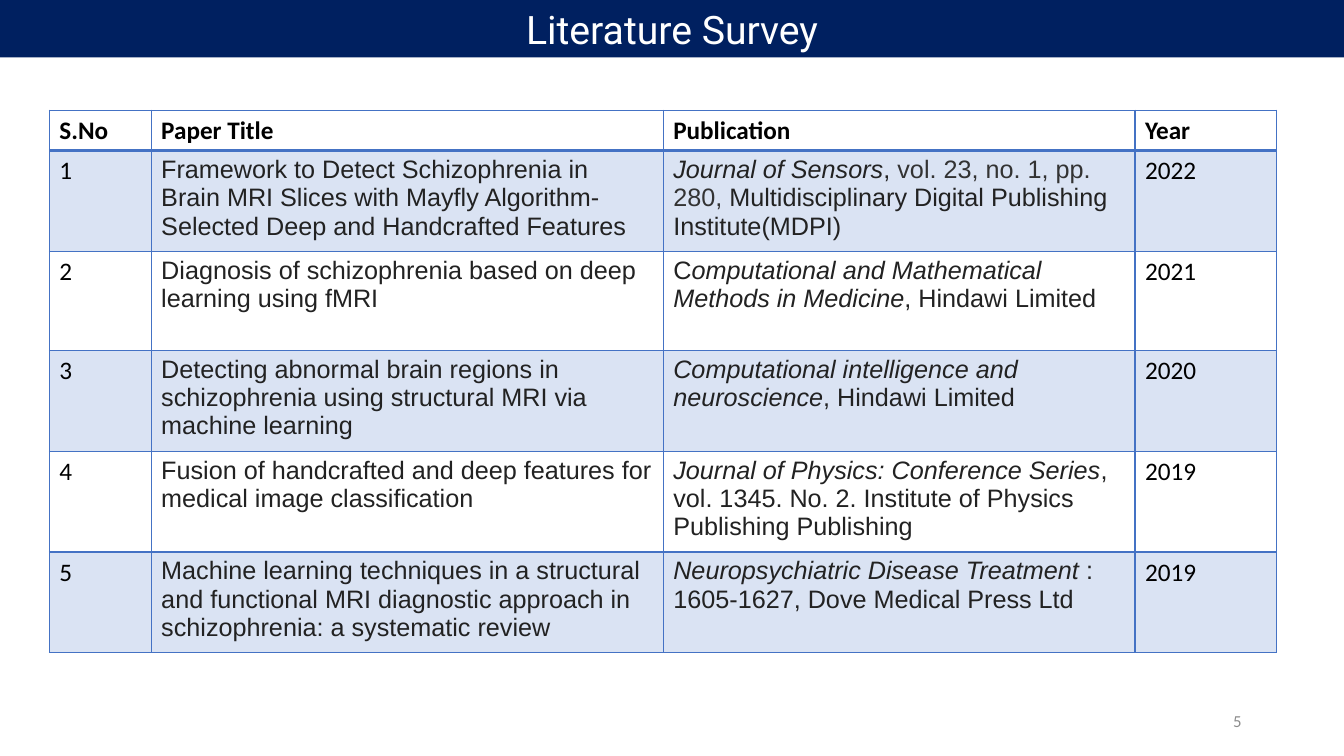
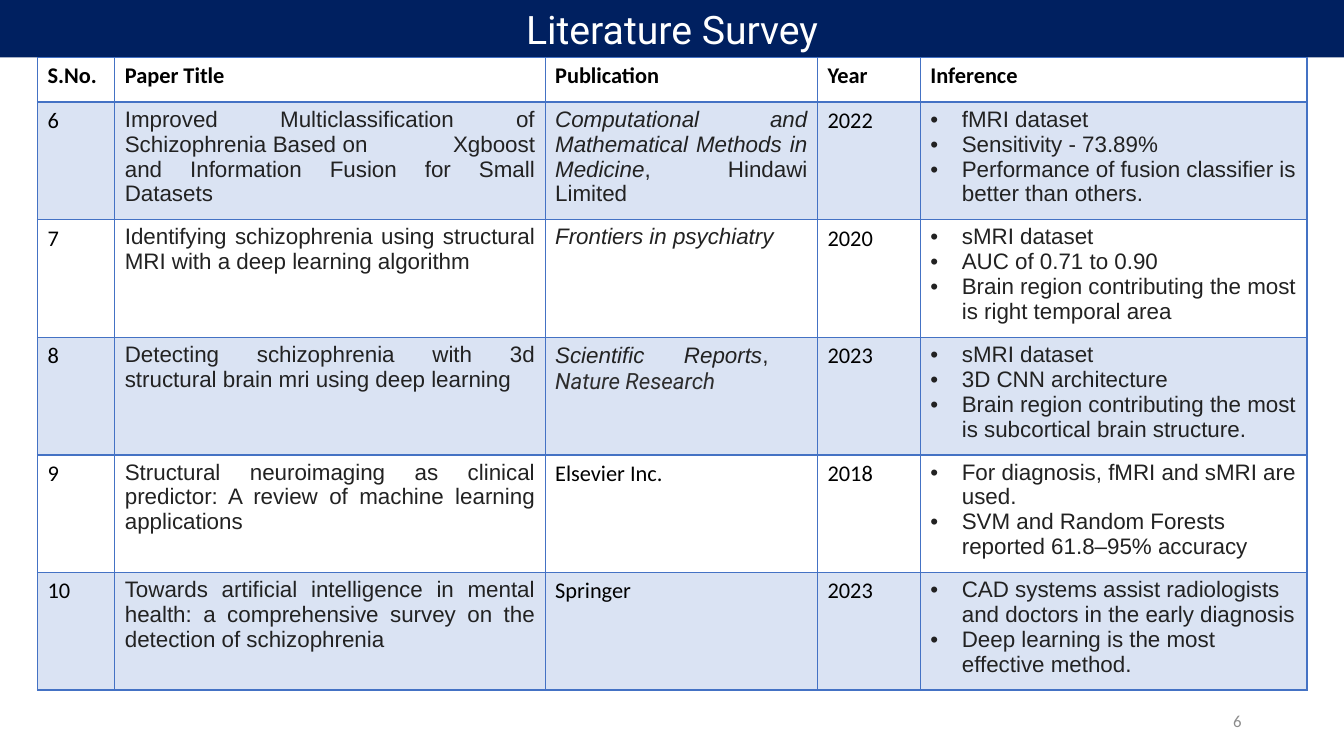
from lxml import etree
from pptx import Presentation
from pptx.dml.color import RGBColor
from pptx.enum import shapes, text
from pptx.oxml import ns
from pptx.util import Pt

NAVY = RGBColor(0x00, 0x20, 0x60)
BLUE = RGBColor(0x44, 0x72, 0xC4)
PALE_BLUE = RGBColor(0xDA, 0xE3, 0xF3)
WHITE = RGBColor(0xFF, 0xFF, 0xFF)
BLACK = RGBColor(0x00, 0x00, 0x00)
INK = RGBColor(0x22, 0x22, 0x22)
DARK_GRAY = RGBColor(0x33, 0x33, 0x33)
CHARCOAL = RGBColor(0x2E, 0x2E, 0x2E)
GRAY = RGBColor(0x8C, 0x8C, 0x8C)

# Run styles: font, colour, bold, italic
TITLE = ("Roboto", WHITE, False, False)
PAGE = ("Calibri", GRAY, False, False)
HEAD = ("Calibri", BLACK, True, False)
LABEL = ("Calibri", BLACK, False, False)
BODY = ("Arial", INK, False, False)
DETAIL = ("Arial", DARK_GRAY, False, False)
JOURNAL = ("Arial", INK, False, True)
IMPRINT = ("Roboto", CHARCOAL, False, True)

SLIDE_WIDTH = 960
BULLET_INDENT = 22.5
TAB_STOP = 234
NARROW_MARGIN = 35

# Rows: number, paper title, publication runs, year, then inference points
SURVEYS = [
    {
        "page": "5", "left": 35.3, "top": 78.8, "size": 18,
        "align": text.PP_ALIGN.LEFT,
        "columns": [72.7, 365.8, 337, 100.8],
        "head_height": 26, "row_height": 70.6,
        "head": ["S.No", "Paper Title", "Publication", "Year"],
        "rows": [
            ("1", "Framework to Detect Schizophrenia in Brain MRI Slices with Mayfly "
             "Algorithm-Selected Deep and Handcrafted Features",
             [("Journal of Sensors", JOURNAL), (",", BODY),
              (" vol. 23, no. 1, pp. 280,", DETAIL),
              (" Multidisciplinary Digital Publishing Institute(MDPI)", BODY)], "2022"),
            ("2", "Diagnosis of schizophrenia based on deep learning using fMRI",
             [("C", BODY), ("omputational and Mathematical Methods in Medicine", JOURNAL),
              (", Hindawi Limited", BODY)], "2021"),
            ("3", "Detecting abnormal brain regions in schizophrenia using structural MRI "
             "via machine learning",
             [("Computational intelligence and neuroscience", JOURNAL),
              (", Hindawi Limited", BODY)], "2020"),
            ("4", "Fusion of handcrafted and deep features for medical image classification",
             [("Journal of Physics: Conference Series", JOURNAL),
              (", vol. 1345. No. 2. Institute of Physics Publishing Publishing", BODY)],
             "2019"),
            ("5", "Machine learning techniques in a structural and functional MRI diagnostic "
             "approach in schizophrenia: a systematic review",
             [("Neuropsychiatric Disease Treatment ", JOURNAL),
              (": 1605-1627, Dove Medical Press Ltd", BODY)], "2019"),
        ],
    },
    {
        "page": "6", "left": 26.8, "top": 41, "size": 16,
        "align": text.PP_ALIGN.JUSTIFY,
        "columns": [55.2, 307.4, 194.6, 73.4, 276.2],
        "head_height": 32, "row_height": 83.8,
        "head": ["S.No.", "Paper Title", "Publication", "Year", "Inference"],
        "rows": [
            ("6", "Improved Multiclassification of Schizophrenia Based on\tXgboost and "
             "Information Fusion for Small Datasets",
             [("Computational and Mathematical Methods in Medicine", JOURNAL),
              (", Hindawi Limited", BODY)], "2022",
             ["fMRI dataset", "Sensitivity - 73.89%",
              "Performance of fusion classifier is better than others."]),
            ("7", "Identifying schizophrenia using structural MRI with a deep learning "
             "algorithm",
             [("Frontiers in psychiatry", JOURNAL)], "2020",
             ["sMRI dataset", "AUC of 0.71 to 0.90",
              "Brain region contributing the most is right temporal area"]),
            ("8", "Detecting schizophrenia with 3d structural brain mri using deep learning",
             [("Scientific Reports", JOURNAL), (",", BODY), (" Nature Research", IMPRINT)],
             "2023",
             ["sMRI dataset", "3D CNN architecture",
              "Brain region contributing the most is subcortical brain structure."]),
            ("9", "Structural neuroimaging as clinical predictor: A review of machine "
             "learning applications",
             [("Elsevier Inc.", LABEL)], "2018",
             ["For diagnosis, fMRI and sMRI are used.",
              "SVM and Random Forests reported 61.8–95% accuracy"]),
            ("10", "Towards artificial intelligence in mental health: a comprehensive survey "
             "on the detection of schizophrenia",
             [("Springer", LABEL)], "2023",
             ["CAD systems assist radiologists and doctors in the early diagnosis",
              "Deep learning is the most effective method."]),
        ],
    },
]


def add_runs(paragraph, runs, size, align):
    paragraph.alignment = align
    for words, (font_name, color, bold, italic) in runs:
        run = paragraph.add_run()
        run.text = words
        run.font.name = font_name
        run.font.size = Pt(size)
        run.font.color.rgb = color
        run.font.bold = bold
        run.font.italic = italic


def set_borders(cell, widths):
    properties = cell._tc.get_or_add_tcPr()
    for position, (side, width) in enumerate(widths.items()):
        line = etree.Element(ns.qn("a:ln" + side), w=str(Pt(width)))
        fill = etree.SubElement(line, ns.qn("a:solidFill"))
        etree.SubElement(fill, ns.qn("a:srgbClr"), val=str(BLUE))
        properties.insert(position, line)


presentation = Presentation()
presentation.slide_width = Pt(SLIDE_WIDTH)
presentation.slide_height = Pt(540)

for survey in SURVEYS:
    slide = presentation.slides.add_slide(presentation.slide_layouts[6])
    size = survey["size"]

    # Page number
    page_box = slide.shapes.add_textbox(Pt(678), Pt(500.4), Pt(216), Pt(28.8))
    page_box.text_frame.word_wrap = True
    page_box.text_frame.vertical_anchor = text.MSO_ANCHOR.MIDDLE
    add_runs(page_box.text_frame.paragraphs[0], [(survey["page"], PAGE)], 12,
             text.PP_ALIGN.RIGHT)

    # Title band
    band = slide.shapes.add_shape(shapes.MSO_SHAPE.RECTANGLE, 0, 0, Pt(SLIDE_WIDTH), Pt(41))
    band.shadow.inherit = False
    band.fill.solid()
    band.fill.fore_color.rgb = NAVY
    band.line.fill.background()
    band.text_frame.vertical_anchor = text.MSO_ANCHOR.TOP
    add_runs(band.text_frame.paragraphs[0], [("Literature Survey", TITLE)], 28,
             text.PP_ALIGN.CENTER)

    # Table grid
    columns = survey["columns"]
    heights = [survey["head_height"]] + [survey["row_height"]] * len(survey["rows"])
    table = slide.shapes.add_table(
        len(heights), len(columns), Pt(survey["left"]), Pt(survey["top"]),
        Pt(sum(columns)), Pt(sum(heights))).table
    table.first_row = False
    table.horz_banding = False
    for column, width in zip(table.columns, columns):
        column.width = Pt(width)
    for row, height in zip(table.rows, heights):
        row.height = Pt(height)

    # Cell contents as lists of paragraphs, each a list of runs
    contents = [[[[(label, HEAD)]] for label in survey["head"]]]
    for number, paper, publication, year, *inference in survey["rows"]:
        contents.append([[[(number, LABEL)]], [[(paper, BODY)]], [publication],
                         [[(year, LABEL)]]]
                        + [[[(point, BODY)] for point in points] for points in inference])

    for row_index, row_contents in enumerate(contents):
        for column_index, paragraphs in enumerate(row_contents):
            cell = table.cell(row_index, column_index)
            if row_index % 2:
                cell.fill.solid()
                cell.fill.fore_color.rgb = PALE_BLUE
            else:
                cell.fill.background()
            set_borders(cell, {"L": 1, "R": 1, "T": 2 if row_index == 1 else 1,
                               "B": 2 if row_index == 0 else 1})
            bulleted = row_index > 0 and column_index == 4
            for index, runs in enumerate(paragraphs):
                frame = cell.text_frame
                paragraph = frame.add_paragraph() if index else frame.paragraphs[0]
                properties = paragraph._p.get_or_add_pPr()
                if bulleted:
                    properties.set("marL", str(Pt(BULLET_INDENT)))
                    properties.set("indent", str(-Pt(BULLET_INDENT)))
                    etree.SubElement(properties, ns.qn("a:buFont"), typeface="Arial")
                    etree.SubElement(properties, ns.qn("a:buChar"), char="•")
                if "\t" in runs[0][0]:
                    tabs = etree.SubElement(properties, ns.qn("a:tabLst"))
                    etree.SubElement(tabs, ns.qn("a:tab"), pos=str(Pt(TAB_STOP)), algn="l")
                if runs[-1][1] == IMPRINT:
                    cell.margin_right = Pt(NARROW_MARGIN)
                add_runs(paragraph, runs, size,
                         text.PP_ALIGN.LEFT if bulleted else survey["align"])

presentation.save("out.pptx")
